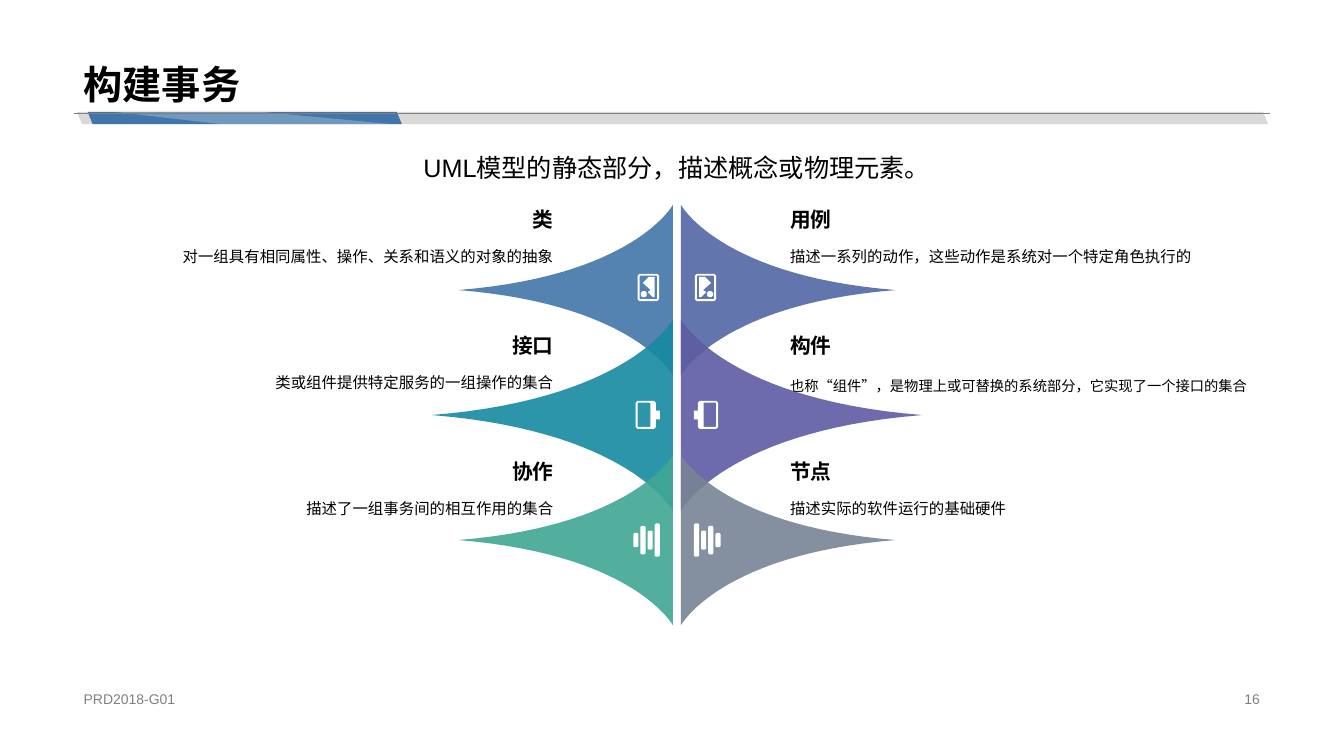
from lxml import etree
from pptx import Presentation
from pptx.dml.color import RGBColor
from pptx.enum.lang import MSO_LANGUAGE_ID
from pptx.enum.shapes import MSO_CONNECTOR, MSO_SHAPE
from pptx.enum.text import MSO_ANCHOR, PP_ALIGN
from pptx.oxml.ns import qn
from pptx.util import Cm, Pt

LEFT, CENTER, RIGHT = PP_ALIGN.LEFT, PP_ALIGN.CENTER, PP_ALIGN.RIGHT
TOP, MIDDLE, BOTTOM = MSO_ANCHOR.TOP, MSO_ANCHOR.MIDDLE, MSO_ANCHOR.BOTTOM
SLANTED = MSO_SHAPE.PARALLELOGRAM
STRAIGHT = MSO_CONNECTOR.STRAIGHT
CHINESE = MSO_LANGUAGE_ID.SIMPLIFIED_CHINESE

BLACK = RGBColor(0x00, 0x00, 0x00)
WHITE = RGBColor(0xFF, 0xFF, 0xFF)
GRAY = RGBColor(0x80, 0x80, 0x80)
PALE_GRAY = RGBColor(0xD9, 0xD9, 0xD9)
BLUE = RGBColor(0x42, 0x76, 0xAA)
TEAL = RGBColor(0x17, 0x8A, 0xA1)
GREEN = RGBColor(0x40, 0xA6, 0x93)
INDIGO = RGBColor(0x52, 0x68, 0xA5)
PURPLE = RGBColor(0x5E, 0x5C, 0xA2)
SLATE = RGBColor(0x77, 0x84, 0x95)

AXIS = 17.06
HALF_GAP = 0.1
FIRST_CENTER = 7.31
ROW_STEP = 3.15
FIRST_HEADING = 5.13
TEXT_STEP = 3.17
NOTE_DROP = 0.81
TEXT_WIDTH = 11.73
WING_SIZES = [(5.41, 2.15), (6.08, 2.41), (5.41, 2.15)]
CURVE_STEPS = 30


def block(near, far, top, bottom, cut=0.03):
    """Return the outline of a rectangle with its corners cut."""
    return [(near + cut, top), (far - cut, top), (far, top + cut),
            (far, bottom - cut), (far - cut, bottom), (near + cut, bottom),
            (near, bottom - cut), (near, top + cut)]


PICTURE_ICON = [
    block(0.45, 0.99, -0.41, 0.28, 0.05),
    block(0.5, 0.94, -0.36, 0.23, 0.01),
    block(0.76, 0.91, 0.03, 0.18, 0.04),
    [(0.56, -0.33), (0.56, 0.18), (0.61, 0.18), (0.74, 0.05),
     (0.66, 0), (0.86, -0.18), (0.71, -0.33)],
]
NOTEBOOK_ICON = [
    [(0.58, -0.36), (0.99, -0.36), (1.04, -0.31), (1.04, 0.3), (0.99, 0.35),
     (0.58, 0.35), (0.53, 0.3), (0.53, 0.11), (0.43, 0.11), (0.43, -0.11),
     (0.53, -0.11), (0.53, -0.31)],
    block(0.67, 0.99, -0.31, 0.3, 0.01),
]
BARS_ICON = [block(0.43 + 0.18 * index, 0.56 + 0.18 * index, -half, half)
             for index, half in enumerate([0.42, 0.24, 0.36, 0.18])]


class SlidePainter:
    """Draw styled elements on one page, with lengths in centimetres."""

    def __init__(self, page, font="Arial"):
        self.page = page
        self.font = font

    def finish(self, shape, color, opacity=100):
        shape.shadow.inherit = False
        shape.fill.solid()
        shape.fill.fore_color.rgb = color
        shape.line.fill.background()
        if opacity < 100:
            tint = shape.element.spPr.find(qn("a:solidFill"))[0]
            etree.SubElement(tint, qn("a:alpha"), val=str(opacity * 1000))

    def text(self, left, top, width, height, words, size, color=BLACK,
             bold=False, align=LEFT, anchor=MIDDLE, spacing=1.0):
        box = self.page.shapes.add_textbox(Cm(left), Cm(top), Cm(width), Cm(height))
        frame = box.text_frame
        frame.word_wrap = True
        frame.vertical_anchor = anchor
        para = frame.paragraphs[0]
        para.alignment = align
        para.line_spacing = spacing
        span = para.add_run()
        span.text = words
        span.font.name = self.font
        span.font.size = Pt(size)
        span.font.bold = bold
        span.font.color.rgb = color
        span.font.language_id = CHINESE

    def banner(self, left, top, width, height, color):
        shape = self.page.shapes.add_shape(
            SLANTED, Cm(left), Cm(top), Cm(width), Cm(height))
        self.finish(shape, color)
        shape.adjustments[0] = 0.41
        shape.element.spPr.xfrm.set("flipH", "1")

    def outline(self, contours, color, opacity=100):
        first, *others = [[(Cm(x), Cm(y)) for x, y in points] for points in contours]
        builder = self.page.shapes.build_freeform(*first[0])
        builder.add_line_segments(first[1:], close=True)
        for corners in others:
            builder.move_to(*corners[0])
            builder.add_line_segments(corners[1:], close=True)
        self.finish(builder.convert_to_shape(), color, opacity)

    def rule(self, left, top, width, color, weight):
        line = self.page.shapes.add_connector(
            STRAIGHT, Cm(left), Cm(top), Cm(left + width), Cm(top))
        line.line.color.rgb = color
        line.line.width = Pt(weight)
        etree.SubElement(line.element.spPr, qn("a:effectLst"))

    def wing(self, side, center, length, half, color):
        upper = []
        for step in range(CURVE_STEPS + 1):
            t = step / CURVE_STEPS
            reach = length * (3 * (1 - t) * t ** 2 * 0.18 + t ** 3)
            rise = half * ((1 - t) ** 3 + 3 * (1 - t) ** 2 * t
                           + 3 * (1 - t) * t ** 2 * 0.165)
            upper.append((AXIS + side * (HALF_GAP + reach), rise))
        points = [(x, center - rise) for x, rise in upper]
        points += [(x, center + rise) for x, rise in reversed(upper[:-1])]
        self.outline([points], color, 90)

    def icon(self, side, center, contours):
        self.outline([[(AXIS + side * x, center + y) for x, y in points]
                      for points in contours], WHITE)


def main():
    deck = Presentation()
    deck.slide_width, deck.slide_height = Cm(33.87), Cm(19.05)
    painter = SlidePainter(deck.slides.add_slide(deck.slide_layouts[6]))

    painter.banner(1.94, 2.82, 30.02, 0.31, PALE_GRAY)
    painter.banner(2.21, 2.82, 7.92, 0.31, BLUE)
    painter.outline([[(9.78, 3.12), (6.6, 2.82), (2.9, 2.82), (5.49, 3.12)]],
                    WHITE, 25)
    painter.rule(1.86, 2.86, 30.15, GRAY, 0.25)
    painter.text(1.86, 0, 30.15, 2.84, "构建事务", 28, bold=True,
                 anchor=BOTTOM, spacing=0.9)
    painter.text(1.86, 17.32, 11.51, 0.58, "PRD2018-G01", 10, GRAY)
    painter.text(23.92, 17.32, 8.08, 0.58, "16", 10, GRAY, align=RIGHT)

    icons = [PICTURE_ICON, NOTEBOOK_ICON, BARS_ICON]
    sides = [
        (-1, 2.47, RIGHT, [
            (BLUE, "类", "对一组具有相同属性、操作、关系和语义的对象的抽象", 11),
            (TEAL, "接口", "类或组件提供特定服务的一组操作的集合", 11),
            (GREEN, "协作", "描述了一组事务间的相互作用的集合", 11)]),
        (1, 19.66, LEFT, [
            (INDIGO, "用例", "描述一系列的动作，这些动作是系统对一个特定角色执行的", 11),
            (PURPLE, "构件",
             "也称“组件”，是物理上或可替换的系统部分，它实现了一个接口的集合", 10.2),
            (SLATE, "节点", "描述实际的软件运行的基础硬件", 11)]),
    ]
    for side, left, align, items in sides:
        for row, (color, *_) in enumerate(items):
            center = FIRST_CENTER + ROW_STEP * row
            painter.wing(side, center, *WING_SIZES[row], color)
            painter.icon(side, center, icons[row])
        for row, (_, heading, note, size) in enumerate(items):
            top = FIRST_HEADING + TEXT_STEP * row
            small = size < 11
            painter.text(left, top, TEXT_WIDTH, 0.81, heading, 14.8,
                         bold=True, align=align)
            painter.text(left, top + NOTE_DROP + 0.08 * small,
                         TEXT_WIDTH + 0.39 * small, 0.97, note, size,
                         align=align, spacing=1.2)

    painter.text(7.63, 3.48, 18.85, 1.55, "UML模型的静态部分，描述概念或物理元素。", 18,
                 align=CENTER, anchor=TOP, spacing=1.3)
    deck.save("out.pptx")


if __name__ == "__main__":
    main()
